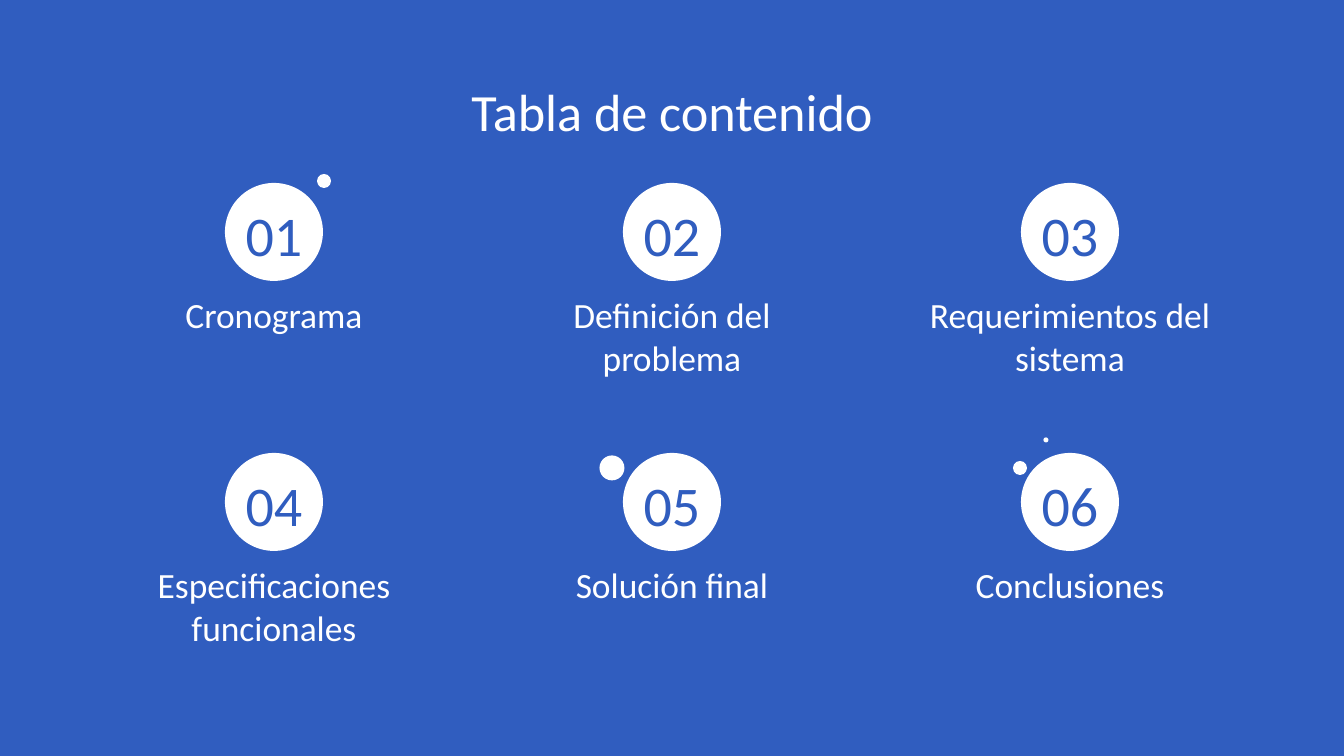
import pptx
import pptx.util
import pptx.dml.color
import pptx.enum.shapes
import pptx.enum.text

PX = 914400 / 134.4  # EMU in one px
HUES = {"blue": "305DBF", "white": "FFFFFF"}
ANCHOR = pptx.enum.text.MSO_ANCHOR


def emu(*sizes):
    return [pptx.util.Emu(round(size * PX)) for size in sizes]


def hue(name):
    return pptx.dml.color.RGBColor.from_string(HUES[name])


class Page:
    font = "Calibri"

    def __init__(self, deck):
        self.slide = deck.slides.add_slide(deck.slide_layouts[6])
        fill = self.slide.background.fill
        fill.solid()
        fill.fore_color.rgb = hue("blue")

    def disc(self, mid, center, size):
        """Draw a white circle around a center point."""
        box = emu(mid - size / 2, center - size / 2, size, size)
        shape = self.slide.shapes.add_shape(
            pptx.enum.shapes.MSO_SHAPE.OVAL, *box)
        shape.shadow.inherit = False
        shape.fill.solid()
        shape.fill.fore_color.rgb = hue("white")
        shape.line.fill.background()

    def text(self, words, box, size, color="white", anchor=ANCHOR.TOP):
        """Write one centered paragraph."""
        frame = self.slide.shapes.add_textbox(*emu(*box)).text_frame
        frame.word_wrap = True
        frame.vertical_anchor = anchor
        inset = pptx.util.Inches(0.1)
        frame.margin_left = frame.margin_right = inset
        frame.margin_top = frame.margin_bottom = inset
        para = frame.paragraphs[0]
        para.text = words
        para.alignment = pptx.enum.text.PP_ALIGN.CENTER
        para.font.name = self.font
        para.font.size = pptx.util.Pt(size)
        para.font.color.rgb = hue(color)


def main():
    deck = pptx.Presentation()
    deck.slide_width, deck.slide_height = emu(1344, 756)
    page = Page(deck)

    # Title
    page.text("Tabla de contenido", (46, 66, 1252, 85), 28)

    # Numbered topics, three to a row
    topics = ["Cronograma", "Definición del problema",
              "Requerimientos del sistema", "Especificaciones funcionales",
              "Solución final", "Conclusiones"]
    disc, wide = 98, 356
    for index, topic in enumerate(topics):
        row, col = divmod(index, 3)
        mid, top = 274 + 398 * col, 183 + 270 * row
        page.disc(mid, top + disc / 2, disc)
        page.text(f"{index + 1:02}", (mid - disc / 2, top, disc, disc),
                  30, "blue", ANCHOR.BOTTOM)
        page.text(topic, (mid - wide / 2, top + 97, wide, 62), 19)

    # Small dots beside the circles
    for mid, center, size in [(324, 181, 14), (1020, 468, 14),
                              (1046, 440, 5), (612, 468, 25)]:
        page.disc(mid, center, size)

    deck.save("out.pptx")


if __name__ == "__main__":
    main()
